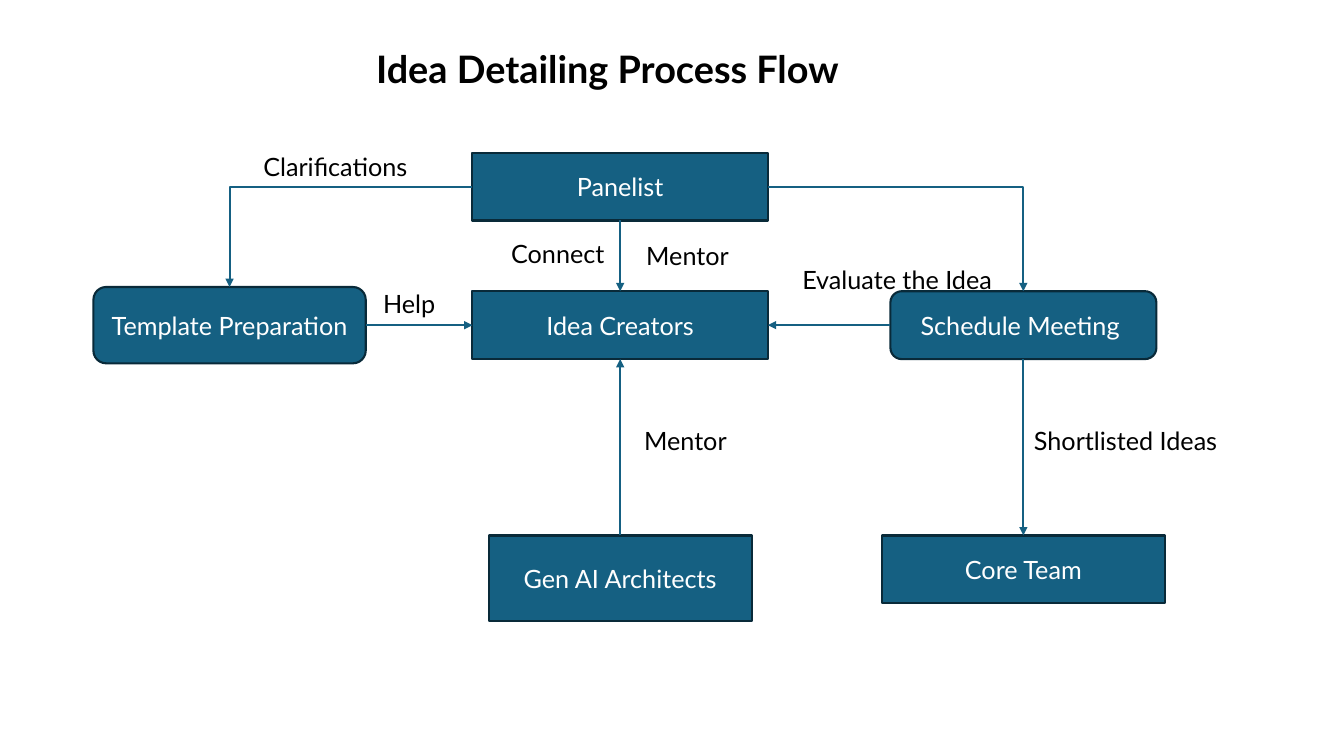
from lxml.etree import SubElement as Sub
from pptx import Presentation
from pptx.dml.color import RGBColor
from pptx.enum.shapes import MSO_CONNECTOR as Link, MSO_SHAPE as Form
from pptx.enum.text import MSO_ANCHOR as Anchor, MSO_AUTO_SIZE as Fit, PP_ALIGN as Align
from pptx.oxml.ns import qn
from pptx.util import Pt

TOP, LEFT, BOTTOM, RIGHT = range(4)


def paint(color, code):
    color.rgb = RGBColor.from_string(code)


def assign(item, values):
    for key, value in values.items():
        setattr(item, key, value)


class Chart:
    """Style of the flow chart and the slide it is drawn on."""
    font = "Lato"
    blue, edge, white, black = "156082", "092A39", "FFFFFF", "000000"
    weight = Pt(1.5)

    def __init__(self, slide):
        self.slide = slide
        self.shapes = slide.shapes

    def letter(self, shape, text, code, frame, align=Align.LEFT, size=18, bold=False):
        """Put formatted text into a shape."""
        assign(shape.text_frame, {"word_wrap": True, **frame})
        para = shape.text_frame.paragraphs[0]
        para.alignment = align
        run = para.add_run()
        run.text = text
        assign(run.font, {"name": self.font, "size": Pt(size), "bold": bold})
        paint(run.font.color, code)

    def title(self, text, left, top, width, height):
        shape = self.shapes.title
        assign(shape, {"left": Pt(left), "top": Pt(top),
                       "width": Pt(width), "height": Pt(height)})
        frame = {"vertical_anchor": Anchor.TOP, "auto_size": Fit.NONE}
        self.letter(shape, text, self.black, frame, size=27, bold=True)

    def box(self, text, mid, top, width, height, form=Form.RECTANGLE):
        """Add a box centred on the x position mid."""
        shape = self.shapes.add_shape(
            form, Pt(mid - width / 2), Pt(top), Pt(width), Pt(height))
        shape.shadow.inherit = False
        shape.fill.solid()
        paint(shape.fill.fore_color, self.blue)
        paint(shape.line.color, self.edge)
        shape.line.width = self.weight
        self.letter(shape, text, self.white,
                    {"vertical_anchor": Anchor.MIDDLE}, Align.CENTER)
        return shape

    def label(self, text, left, top, width):
        shape = self.shapes.add_textbox(Pt(left), Pt(top), Pt(width), Pt(29))
        self.letter(shape, text, self.black, {"auto_size": Fit.SHAPE_TO_FIT_TEXT})

    def arrow(self, start, out, end, into, bent=False):
        """Join side out of start to side into of end."""
        kind = Link.ELBOW if bent else Link.STRAIGHT
        line = self.shapes.add_connector(kind, 0, 0, 0, 0)
        line.begin_connect(start, out)
        line.end_connect(end, into)
        paint(line.line.color, self.blue)
        line.line.width = self.weight
        props = line._element.spPr
        if bent:
            props.find(qn("a:prstGeom")).set("prst", "bentConnector2")
        Sub(props.find(qn("a:ln")), qn("a:tailEnd"), type="triangle")
        Sub(props, qn("a:effectLst"))


def main():
    deck = Presentation()
    assign(deck, {"slide_width": Pt(960), "slide_height": Pt(540)})
    chart = Chart(deck.slides.add_slide(deck.slide_layouts[5]))
    chart.title("Idea Detailing Process Flow", 261.5, 29, 363, 40)

    west, mid, east = 164, 443, 731
    curved = Form.ROUNDED_RECTANGLE
    panel = chart.box("Panelist", mid, 109, 211, 48.5)
    ideas = chart.box("Idea Creators", mid, 208, 211, 48.5)
    meeting = chart.box("Schedule Meeting ", east, 208, 190, 48.5, curved)
    draft = chart.box("Template Preparation", west, 205, 194.5, 54.5, curved)
    core = chart.box("Core Team", east, 382.5, 202, 48.5)
    experts = chart.box("Gen AI Architects", mid, 382.5, 188, 61)

    chart.arrow(panel, BOTTOM, ideas, TOP)
    chart.arrow(panel, RIGHT, meeting, TOP, bent=True)
    chart.arrow(panel, LEFT, draft, TOP, bent=True)
    chart.arrow(meeting, LEFT, ideas, RIGHT)
    chart.arrow(draft, RIGHT, ideas, LEFT)
    chart.arrow(meeting, BOTTOM, core, TOP)
    chart.arrow(experts, TOP, ideas, BOTTOM)

    for text, left, top, width in (
            ("Clarifications", 181, 104.5, 149),
            ("Connect", 358, 167, 96),
            ("Mentor", 454.5, 168, 96),
            ("Evaluate the Idea", 566, 185, 158.5),
            ("Help", 266.5, 202.5, 96),
            ("Mentor", 453, 300.5, 96),
            ("Shortlisted Ideas", 731.5, 300.5, 158.5)):
        chart.label(text, left, top, width)
    deck.save("out.pptx")


if __name__ == "__main__":
    main()
